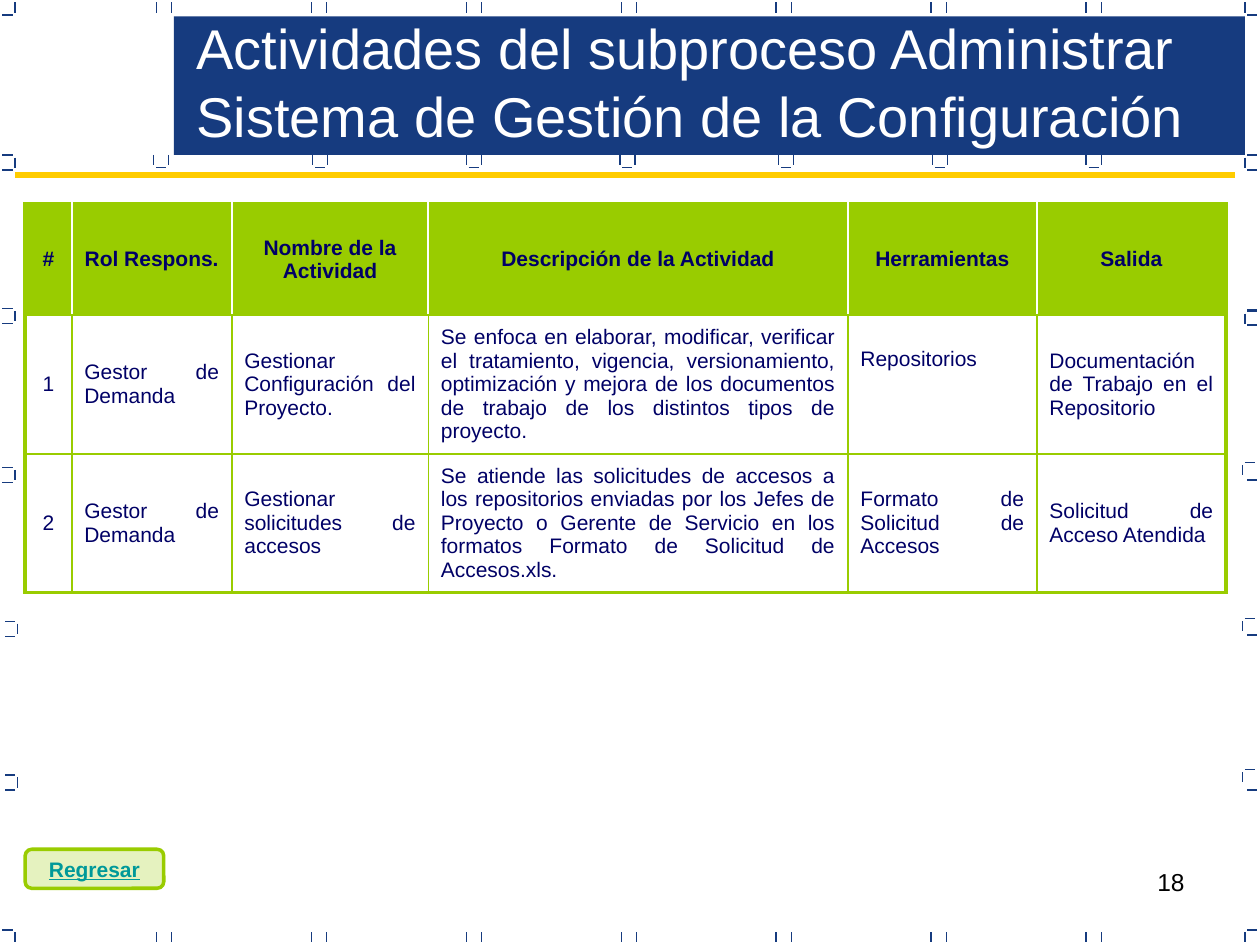
from pptx import Presentation
from pptx import util as u
from pptx.dml.color import RGBColor
from pptx.enum import shapes, text
from pptx.oxml.ns import qn
from lxml import etree

BLUE, GREEN, YELLOW, NAVY, WHITE = "163B7F", "99CC00", "FFCC00", "000066", "FFFFFF"
AL, ANC = text.PP_ALIGN, text.MSO_ANCHOR


def rgb(value):
    return RGBColor.from_string(value)


class Deck:
    font = "Arial"

    def __init__(self, w, h):
        self.prs = Presentation()
        self.prs.slide_width, self.prs.slide_height = u.Inches(w), u.Inches(h)
        self.s = self.prs.slides.add_slide(self.prs.slide_layouts[5])

    def put_text(self, tf, words, size, color, align=AL.LEFT, anchor=ANC.TOP, before=0, **fmt):
        tf.word_wrap, tf.vertical_anchor = True, anchor
        p = tf.paragraphs[0]
        p.alignment, p.space_before = align, u.Pt(before)
        r = p.add_run()
        r.text = words
        r.font.color.rgb = rgb(color)
        for key, val in dict(name=self.font, size=u.Pt(size), **fmt).items():
            setattr(r.font, key, val)

    def title(self, words, *box, **fmt):
        sp = self.s.shapes.title
        sp.left, sp.top, sp.width, sp.height = map(u.Inches, box)
        sp.text_frame.auto_size = text.MSO_AUTO_SIZE.NONE
        self.put_text(sp.text_frame, words, **fmt)
        self.s.shapes._spTree.append(sp._element)  # above the band

    def label(self, words, *box, **fmt):
        sp = self.s.shapes.add_textbox(*map(u.Inches, box))
        self.put_text(sp.text_frame, words, **fmt)

    def line(self, x1, y1, x2, y2, color=BLUE, width=0.75):
        ln = self.s.shapes.add_connector(shapes.MSO_CONNECTOR.STRAIGHT, *map(u.Inches, (x1, y1, x2, y2)))
        ln.line.color.rgb, ln.line.width = rgb(color), u.Pt(width)
        etree.SubElement(ln._element.spPr, qn("a:effectLst"))

    def shape(self, kind, *box, fill, border=None, width=0, alpha=None):
        sp = self.s.shapes.add_shape(kind, *map(u.Inches, box))
        sp.shadow.inherit = False
        sp.fill.solid()
        sp.fill.fore_color.rgb = rgb(fill)
        if alpha:
            clr = sp._element.spPr.find(qn("a:solidFill"))[0]
            etree.SubElement(clr, qn("a:alpha"), val=str(alpha * 1000))
        if border:
            sp.line.color.rgb, sp.line.width = rgb(border), u.Pt(width)
        else:
            sp.line.fill.background()
        return sp

    def borders(self, cell, **sides):
        tcPr = cell._tc.get_or_add_tcPr()
        for i, side in enumerate("LRTB"):
            color, width = sides[side]
            ln = etree.Element(qn("a:ln" + side), w=str(u.Pt(width)))
            fill = etree.SubElement(ln, qn("a:solidFill"))
            etree.SubElement(fill, qn("a:srgbClr"), val=color)
            tcPr.insert(i, ln)

    def table(self, rows, x, y, widths, heights):
        nr, nc = len(heights), len(widths)
        box = map(u.Inches, (x, y, sum(widths), sum(heights)))
        tbl = self.s.shapes.add_table(nr, nc, *box).table
        tbl.first_row = tbl.horz_banding = False
        for col, w in zip(tbl.columns, widths):
            col.width = u.Inches(w)
        for row, h in zip(tbl.rows, heights):
            row.height = u.Inches(h)
        for i, row in enumerate(rows):
            head = i == 0
            inner = (WHITE, 1.5) if head else (GREEN, 1)
            outer = (GREEN, 2.25)
            for j, words in enumerate(row):
                cell = tbl.cell(i, j)
                if head:
                    cell.fill.solid()
                    cell.fill.fore_color.rgb = rgb(GREEN)
                else:
                    cell.fill.background()
                cell.vertical_anchor = ANC.MIDDLE
                self.put_text(cell.text_frame, words, 12, NAVY, AL.CENTER if head or j == 0 else AL.JUSTIFY,
                              ANC.MIDDLE, 2.4, bold=head)
                self.borders(cell, L=inner if j else outer,
                             R=inner if j < nc - 1 else outer,
                             T=outer if head else (GREEN, 1.5),
                             B=outer if i == nr - 1 else (GREEN, 1.5))
        return tbl

    def corner(self, x, y, side, *offsets):
        """Upright tick at x, with level ticks toward the slide edge."""
        self.line(x, y, x, y + 0.08)
        for dy in offsets:
            self.line(x + side * 0.02, y + dy, x + side * 0.1, y + dy)


d = Deck(10, 7.5)

# Slide number
d.label("18", 7.17, 6.83, 2.33, 0.52, size=14, color="000000", align=AL.RIGHT)

# Ticks along the top and bottom edges
for i in range(7):
    right = 1.36 + 1.23 * i
    for x in (right - 0.12, right):
        for y in (0.02, 7.4):
            d.line(x, y, x, y + 0.08)

# Ticks along the left and right edges
for x, side in ((0.12, -1), (9.88, 1)):
    d.corner(x, 0.02, side, 0.1)
    d.corner(x, 1.25, side, -0.02, 0.1)
    d.corner(x, 7.4, side, -0.02)
for x, y in ((0.12, 2.47), (0.12, 3.73), (0.14, 4.95), (0.14, 6.17)):
    d.corner(x, y, -1, -0.02, 0.1)
for x, y in ((9.88, 2.49), (9.86, 3.69), (9.86, 4.93), (9.86, 6.13)):
    d.corner(x, y, 1, -0.02)
for y in (2.46, 2.58, 3.81, 5.04, 6.27):
    d.line(9.9, y, 9.98, y)

# Title band and the brackets below it
d.shape(shapes.MSO_SHAPE.RECTANGLE, 1.38, 0.13, 8.5, 1.1, fill=BLUE)
for x in (1.22, 2.48, 3.7, 4.92, 6.18, 7.4, 8.62):
    d.line(x, 1.23, x, 1.31)
    d.line(x + 0.12, 1.23, x + 0.12, 1.31)
    d.line(x + 0.02, 1.33, x + 0.1, 1.33)

# Activity table
activities = [
    ["#", "Rol Respons.", "Nombre de la Actividad", "Descripción de la Actividad",
     "Herramientas", "Salida"],
    ["1", "Gestor de Demanda", "Gestionar Configuración del Proyecto.",
     "Se enfoca en elaborar, modificar, verificar el tratamiento, vigencia, versionamiento, "
     "optimización y mejora de los documentos de trabajo de los distintos tipos de proyecto.",
     "Repositorios", "Documentación de Trabajo en el Repositorio"],
    ["2", "Gestor de Demanda", "Gestionar solicitudes de accesos",
     "Se atiende las solicitudes de accesos a los repositorios enviadas por los Jefes de Proyecto "
     "o Gerente de Servicio en los formatos Formato de Solicitud de Accesos.xls.",
     "Formato de Solicitud de Accesos", "Solicitud de Acceso Atendida"],
]
tbl = d.table(activities, 0.2, 1.62, [0.37, 1.27, 1.56, 3.33, 1.5, 1.5], [0.88, 1.09, 1.09])
tbl.cell(1, 4).margin_bottom = u.Inches(0.45)

# Return button
button = d.shape(shapes.MSO_SHAPE.FLOWCHART_ALTERNATE_PROCESS, 0.2, 6.74, 1.1, 0.31,
                 fill=GREEN, border=GREEN, width=2, alpha=25)
d.put_text(button.text_frame, "Regresar", 12, "009999", AL.CENTER, ANC.MIDDLE, bold=True, underline=True)
button.text_frame.word_wrap = False

# Title and rule
d.title("Actividades del subproceso Administrar Sistema de Gestión de la Configuración",
        1.46, 0.06, 9.03, 1.17, size=32, color=WHITE)
d.line(0.12, 1.39, 9.8, 1.39, YELLOW, 3)

d.prs.save("out.pptx")
